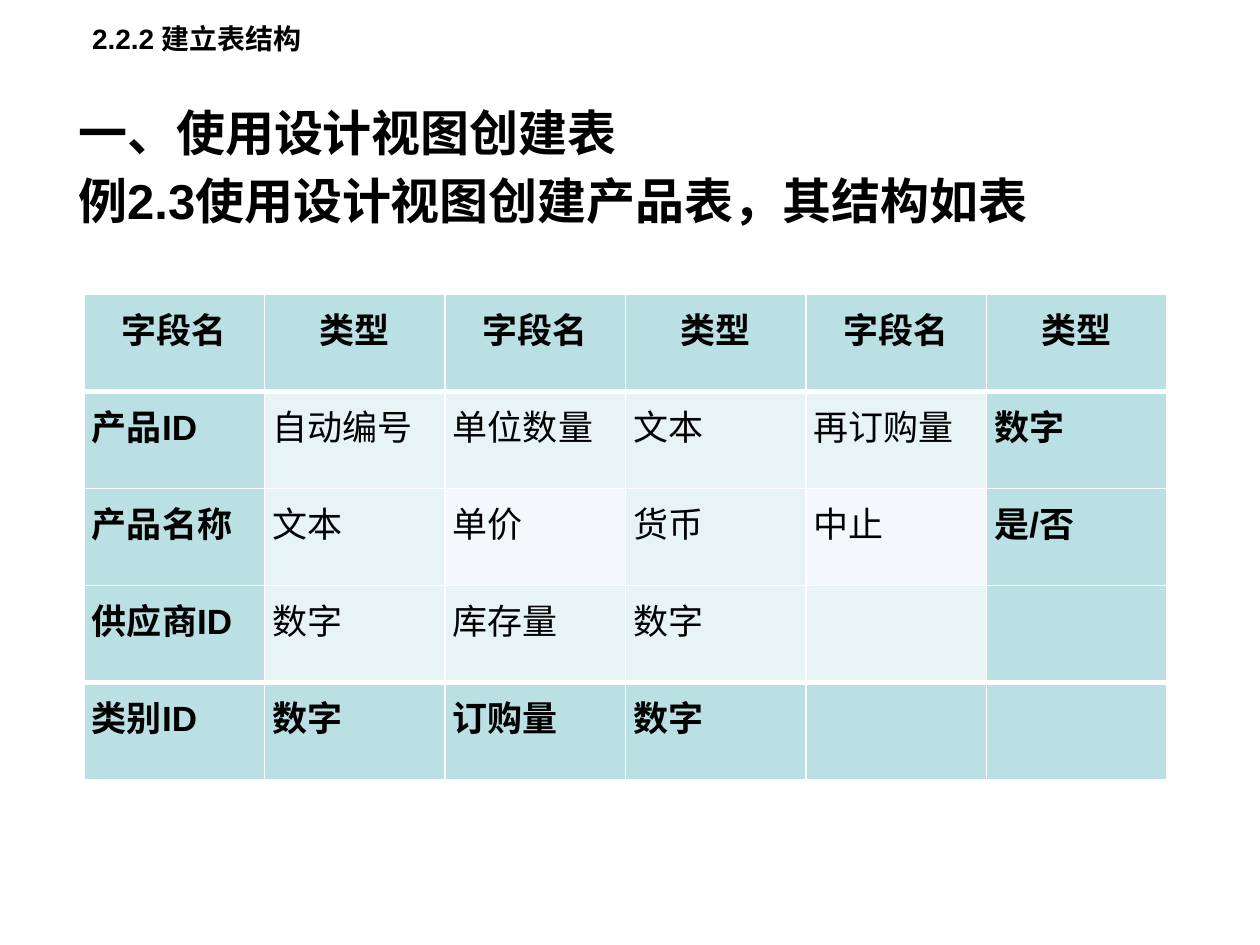
"""Build the slide on creating the product table in design view."""
from lxml import etree
from pptx import Presentation
from pptx.dml.color import RGBColor
from pptx.enum.text import MSO_ANCHOR, PP_ALIGN
from pptx.oxml.ns import qn
from pptx.util import Emu, Pt

MIDDLE, TOP = MSO_ANCHOR.MIDDLE, MSO_ANCHOR.TOP
LEFT, CENTER, JUSTIFY = PP_ALIGN.LEFT, PP_ALIGN.CENTER, PP_ALIGN.JUSTIFY

SECTION = [("2.2.2 建立表结构", "section"), (" ", "spacer")]
HEADINGS = ["一、使用设计视图创建表 ", "例2.3使用设计视图创建产品表，其结构如表 "]
FIELDS = [
    ["字段名", "类型", "字段名", "类型", "字段名", "类型"],
    ["产品ID", "自动编号", "单位数量", "文本", "再订购量", "数字"],
    ["产品名称", "文本", "单价", "货币", "中止", "是/否"],
    ["供应商ID", "数字", "库存量", "数字", "", ""],
    ["类别ID", "数字", "订购量", "数字", "", ""],
]
THEME = {
    "font": "Arial",
    "ink": "000000", "line": "FFFFFF",
    "accent": "BBE0E3", "band": "E7F3F4", "pale": "F3F9FA",
    "section": 16, "spacer": 36, "heading": 28, "cell": 20,
}
SCALE = 914400 / 126
SLIDE = (1260, 945)
SECTION_BOX = (64, 0, 280, 48)
HEADING_BOX = (66, 96, 1121, 163)
TABLE_BOX = (84, 294, 1083, 486)
HANGING, CELL_INSET = 48, 8


def px(n):
    return Emu(round(n * SCALE))


def add_run(p, text, size, bold=True):
    r = p.add_run()
    r.text = text
    r.font.name = THEME["font"]
    r.font.size = Pt(THEME[size])
    r.font.bold = bold
    r.font.color.rgb = RGBColor.from_string(THEME["ink"])


def add_text(slide, box, anchor, wrap):
    tf = slide.shapes.add_textbox(*map(px, box)).text_frame
    tf.word_wrap = wrap
    tf.vertical_anchor = anchor
    return tf


def set_borders(cell, widths):
    tc_pr = cell._tc.get_or_add_tcPr()
    for i, (side, width) in enumerate(widths.items()):
        ln = etree.Element(qn(f"a:ln{side}"), w=str(Pt(width)))
        fill = etree.SubElement(ln, qn("a:solidFill"))
        etree.SubElement(fill, qn("a:srgbClr"), val=THEME["line"])
        tc_pr.insert(i, ln)


def add_fields(slide):
    rows, cols = len(FIELDS), len(FIELDS[0])
    table = slide.shapes.add_table(rows, cols, *map(px, TABLE_BOX)).table
    for col in table.columns:
        col.width = px(TABLE_BOX[2] / cols)
    for row in table.rows:
        row.height = px(TABLE_BOX[3] / rows)
    for y, texts in enumerate(FIELDS):
        for x, text in enumerate(texts):
            cell = table.cell(y, x)
            edge = y in (0, rows - 1) or x in (0, cols - 1)
            pale = y % 2 == 0 and x % 2 == 0
            color = "accent" if edge else "pale" if pale else "band"
            cell.fill.solid()
            cell.fill.fore_color.rgb = RGBColor.from_string(THEME[color])
            set_borders(cell, {"L": 1, "R": 1,
                               "T": 3 if y in (1, rows - 1) else 1,
                               "B": 3 if y in (0, rows - 2) else 1})
            if not text:
                continue
            cell.vertical_anchor = MIDDLE
            cell.margin_left = cell.margin_right = px(CELL_INSET)
            cell.margin_top = cell.margin_bottom = 0
            p = cell.text_frame.paragraphs[0]
            p.alignment = JUSTIFY if y else CENTER
            p.line_spacing = Pt(12)
            p.space_before = p.space_after = Pt(2 if y else 2.5)
            add_run(p, text, "cell", edge)


prs = Presentation()
prs.slide_width, prs.slide_height = map(px, SLIDE)
s = prs.slides.add_slide(prs.slide_layouts[6])

tf = add_text(s, HEADING_BOX, TOP, True)
for i, text in enumerate(HEADINGS):
    p = tf.add_paragraph() if i else tf.paragraphs[0]
    p.alignment = LEFT
    p.space_before = Pt(THEME["heading"] * 0.2)
    if i:
        p._p.get_or_add_pPr().set("marL", str(px(HANGING)))
        p._p.get_or_add_pPr().set("indent", str(-px(HANGING)))
    add_run(p, text, "heading")

p = add_text(s, SECTION_BOX, MIDDLE, False).paragraphs[0]
p.alignment = CENTER
for text, size in SECTION:
    add_run(p, text, size)

add_fields(s)
prs.save("out.pptx")
